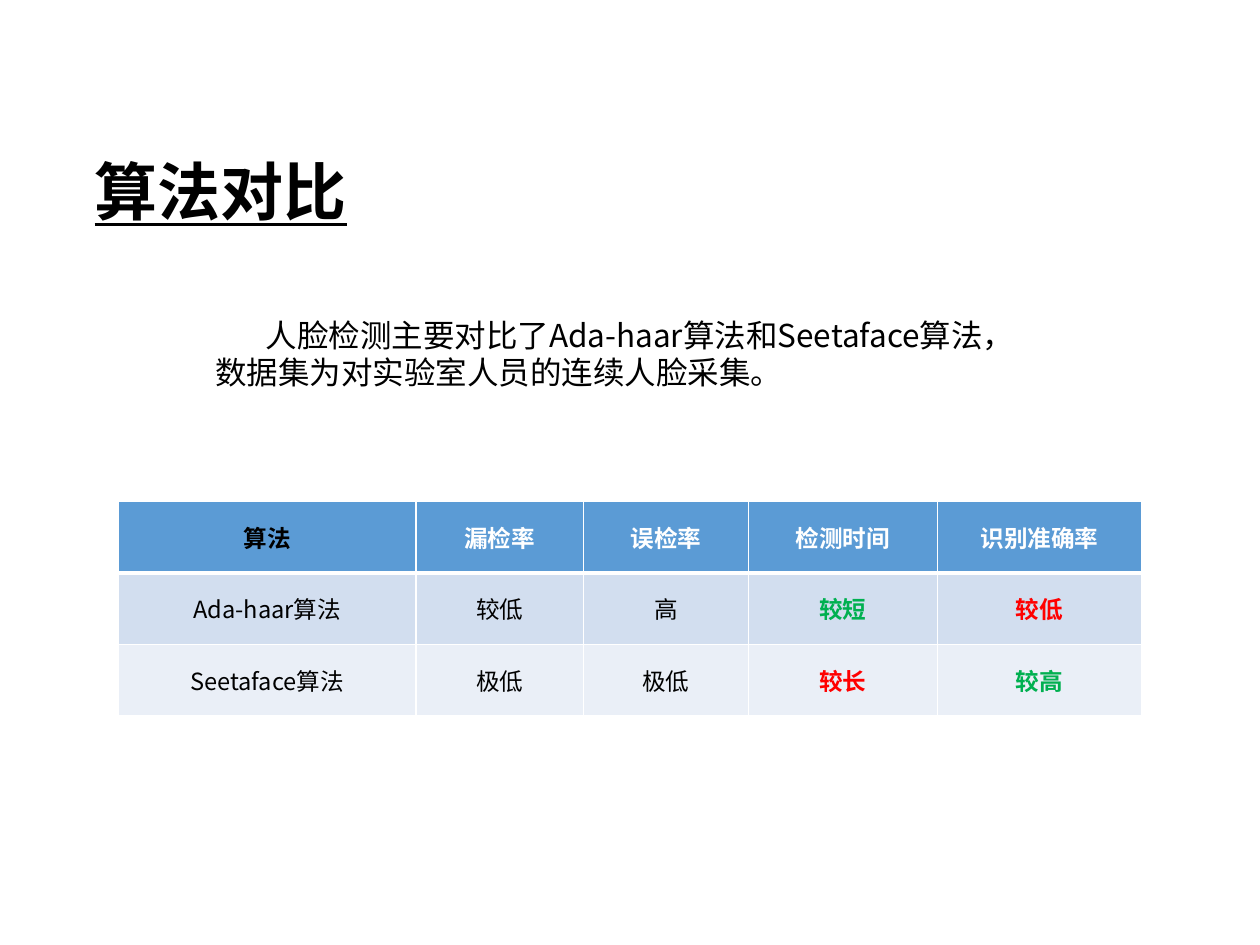
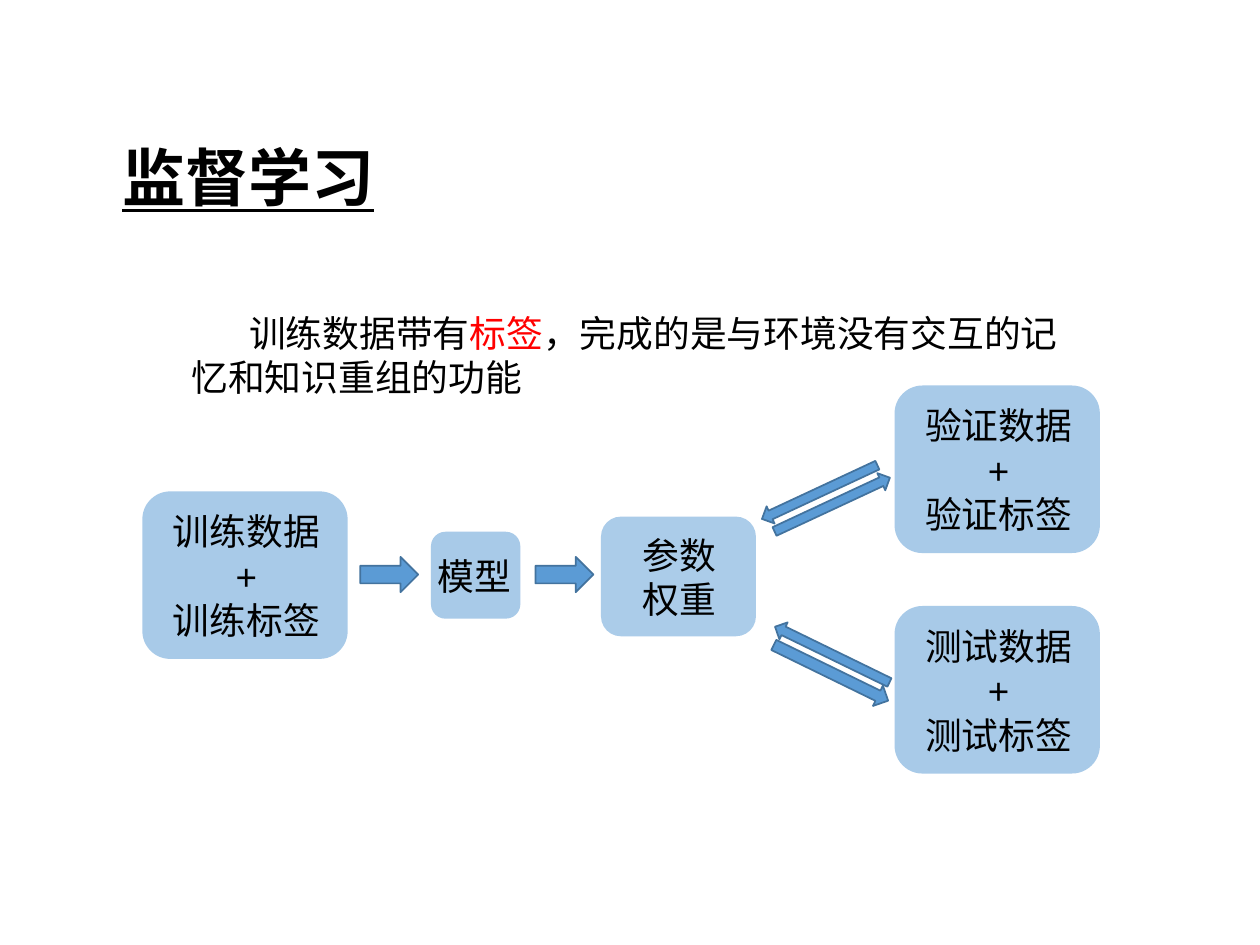
from lxml import etree
from pptx import Presentation, util as u
from pptx.dml.color import RGBColor
from pptx.enum import shapes, text
from pptx.oxml import ns

BLACK = RGBColor(0, 0, 0)
WHITE = RGBColor(255, 255, 255)
RED = RGBColor(255, 0, 0)
GREEN = RGBColor(0x00, 0xB0, 0x50)
BLUE = RGBColor(0x5B, 0x9B, 0xD5)
EDGE = RGBColor(0x43, 0x73, 0x9E)
BAND = RGBColor(0xD2, 0xDE, 0xEF)
PALE = RGBColor(0xEA, 0xEF, 0xF7)

CJK = "Noto Sans CJK SC"
COLS, ROWS = 100, 75
CENTER, LEFT = text.PP_ALIGN.CENTER, text.PP_ALIGN.LEFT
HEAD = {"name": CJK, "size": u.Pt(36), "bold": True, "underline": True}
LEAD = {"name": CJK, "size": u.Pt(18)}
BODY = {"name": "Arial", "size": u.Pt(21)}
CELL = {"name": CJK, "size": u.Pt(13.5)}
FRAME = {"word_wrap": True, "auto_size": text.MSO_AUTO_SIZE.NONE,
         "vertical_anchor": text.MSO_ANCHOR.MIDDLE}
INSET = {"margin_left": u.Inches(0.07), "margin_right": u.Inches(0.07),
         "margin_top": u.Inches(0.04), "margin_bottom": u.Inches(0.04)}


def put(obj, *styles):
    """Set attributes from dicts of format values."""
    for style in styles:
        for key, val in style.items():
            setattr(obj, key, val)


def sub(node, tag, **attrs):
    return etree.SubElement(node, ns.qn(tag), attrs)


class Deck:
    """Style and current slide, on a grid of 100 columns by 75 rows."""

    def __init__(self):
        self.prs = Presentation()
        self.prs.slide_width, self.prs.slide_height = u.Inches(10), u.Inches(7.5)
        self.slide = None

    def x(self, cols):
        return round(self.prs.slide_width * cols / COLS)

    def y(self, rows):
        return round(self.prs.slide_height * rows / ROWS)

    def area(self, left, top, width, height):
        return self.x(left), self.y(top), self.x(width), self.y(height)

    def words(self, para, words, font, color=BLACK, **more):
        run = para.add_run()
        run.text = words
        put(run.font, font, more)
        run.font.color.rgb = color
        east = etree.Element(ns.qn("a:ea"), typeface=CJK)
        run.font._element.find(ns.qn("a:latin")).addnext(east)

    def page(self, title, *box):
        self.slide = self.prs.slides.add_slide(self.prs.slide_layouts[5])
        shape = self.slide.shapes.title
        put(shape, dict(zip(("left", "top", "width", "height"), self.area(*box))))
        put(shape.text_frame, FRAME, INSET)
        para = shape.text_frame.paragraphs[0]
        put(para, {"alignment": LEFT, "line_spacing": 0.9})
        self.words(para, title, HEAD)

    def prose(self, runs, font, pitch, indent, *box):
        """Paragraph of (words, colour) runs with an indented first line."""
        frame = self.slide.shapes.add_textbox(*self.area(*box)).text_frame
        put(frame, FRAME, {"vertical_anchor": text.MSO_ANCHOR.TOP})
        para = frame.paragraphs[0]
        para.line_spacing = u.Pt(pitch)
        para._p.get_or_add_pPr().set("indent", str(self.x(indent)))
        for words, color in runs:
            self.words(para, words, font, color)

    def form(self, kind, *box):
        shape = self.slide.shapes.add_shape(kind, *self.area(*box))
        shape.shadow.inherit = False
        shape.fill.solid()
        shape.fill.fore_color.rgb = BLUE
        return shape

    def card(self, lines, *box, alpha=53, align=CENTER):
        shape = self.form(shapes.MSO_SHAPE.ROUNDED_RECTANGLE, *box)
        shape.line.fill.background()
        tint = shape.fill._xPr.find(".//" + ns.qn("a:srgbClr"))
        sub(tint, "a:alpha", val=str(alpha * 1000))
        frame = shape.text_frame
        put(frame, FRAME, {"margin_left": u.Inches(0.02), "margin_right": 0})
        for i, line in enumerate(lines):
            para = frame.add_paragraph() if i else frame.paragraphs[0]
            put(para, {"alignment": align, "line_spacing": u.Pt(25.5)})
            self.words(para, line, BODY)

    def arrow(self, *box, turn=0):
        shape = self.form(shapes.MSO_SHAPE.RIGHT_ARROW, *box)
        shape.line.color.rgb = EDGE
        put(shape.line, {"width": u.Pt(1)})
        shape.rotation = turn

    def cell(self, cell, words, fill, color, bold, base):
        put(cell, INSET, {"vertical_anchor": text.MSO_ANCHOR.MIDDLE})
        props = cell._tc.get_or_add_tcPr()
        sides = {"a:lnL": 1, "a:lnR": 1, "a:lnT": 1, "a:lnB": base}
        for tag, width in sides.items():
            line = sub(props, tag, w=str(u.Pt(width)))
            sub(sub(line, "a:solidFill"), "a:srgbClr", val=str(WHITE))
        cell.fill.solid()
        cell.fill.fore_color.rgb = fill
        para = cell.text_frame.paragraphs[0]
        para.alignment = CENTER
        self.words(para, words, CELL, color, bold=bold)

    def table(self, rows, widths, height, left, top, marks):
        """Header and banded rows; marks maps (row, column) to a colour."""
        box = self.area(left, top, sum(widths), height * len(rows))
        grid = self.slide.shapes.add_table(len(rows), len(widths), *box).table
        for col, width in zip(grid.columns, widths):
            col.width = self.x(width)
        for r, row in enumerate(rows):
            head = r == 0
            fill = BLUE if head else (PALE, BAND)[r % 2]
            for c, words in enumerate(row):
                color = marks.get((r, c), WHITE if head else BLACK)
                bold = head or (r, c) in marks
                self.cell(grid.cell(r, c), words, fill, color, bold, 3 if head else 1)


def compare(deck):
    deck.page("算法对比", 6.8, 10, 22.5, 10.9)
    deck.prose([("人脸检测主要对比了Ada-haar算法和Seetaface算法，"
                 "数据集为对实验室人员的连续人脸采集。", BLACK)],
               LEAD, 21, 4, 16.1, 24.7, 67.7, 7.1)
    deck.table([["算法", "漏检率", "误检率", "检测时间", "识别准确率"],
                ["Ada-haar算法", "较低", "高", "较短", "较低"],
                ["Seetaface算法", "极低", "极低", "较长", "较高"]],
               [23.6, 13.3, 13.1, 15, 16.2], 5.67, 9.4, 39.8,
               {(0, 0): BLACK, (1, 3): GREEN, (1, 4): RED,
                (2, 3): RED, (2, 4): GREEN})


def learn(deck):
    deck.page("监督学习", 9, 8.9, 22.7, 10.9)
    deck.prose([("训练数据带有", BLACK), ("标签", RED),
                ("，完成的是与环境没有交互的记忆和知识重组的功能", BLACK)],
               BODY, 25.5, 4.6, 14.2, 24.1, 71.7, 8.1)
    # Data sets
    for name, left, top in (("训练", 11.3, 39), ("验证", 71, 30.6), ("测试", 71, 48.1)):
        deck.card([name + "数据", "+", name + "标签"], left, top, 16.3, 13.3)
    # Model and its weights
    deck.card(["模型"], 34.2, 42.2, 7.1, 6.9, align=LEFT)
    deck.card(["参数", "权重"], 47.7, 41, 12.3, 9.5, alpha=51)
    for left in (28.6, 42.5):
        deck.arrow(left, 44.2, 4.6, 2.8)
    # Exchange with validation and test data
    for left, top, thick, turn in ((60, 38.3, 1.5, 155), (61, 39.3, 1.5, 335),
                                   (61, 51.2, 1.5, 206), (60.9, 52.5, 1.8, 26)):
        deck.arrow(left, top, 10.1, thick, turn=turn)


def main():
    deck = Deck()
    compare(deck)
    learn(deck)
    deck.prs.save("out.pptx")


if __name__ == "__main__":
    main()
